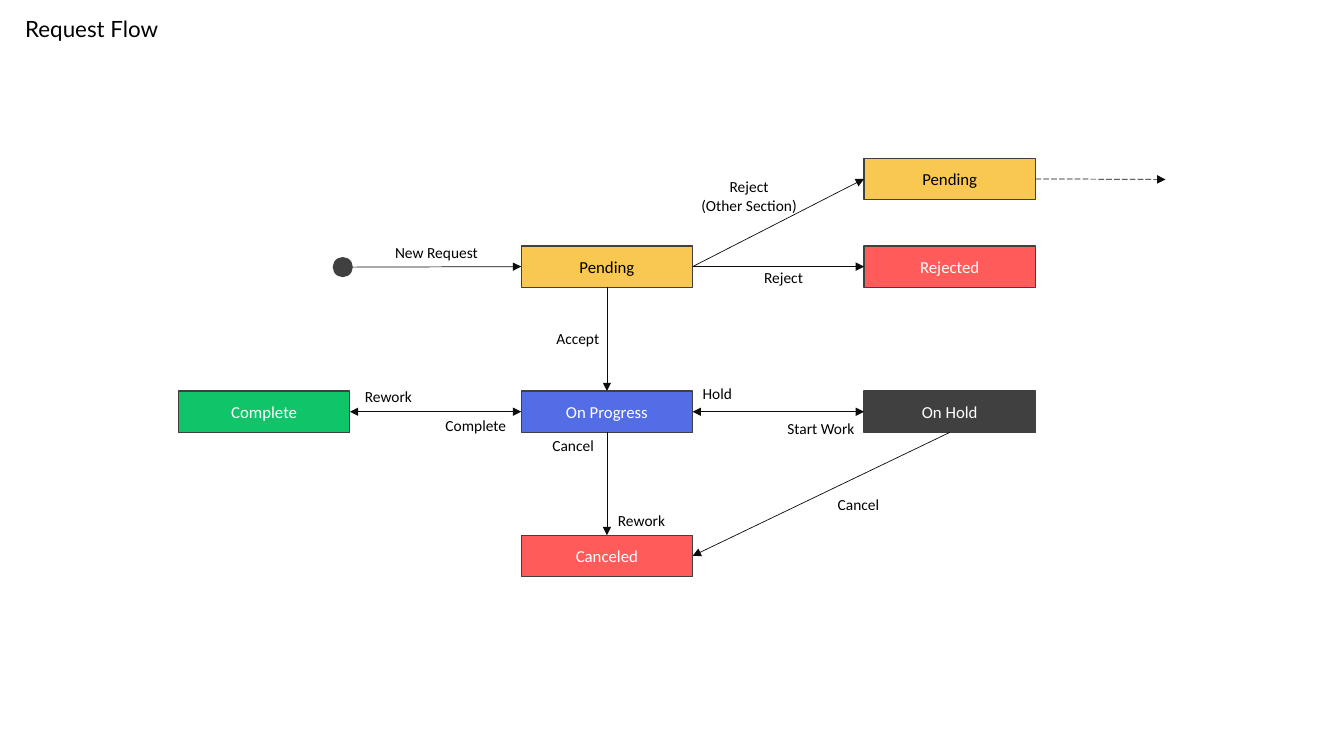
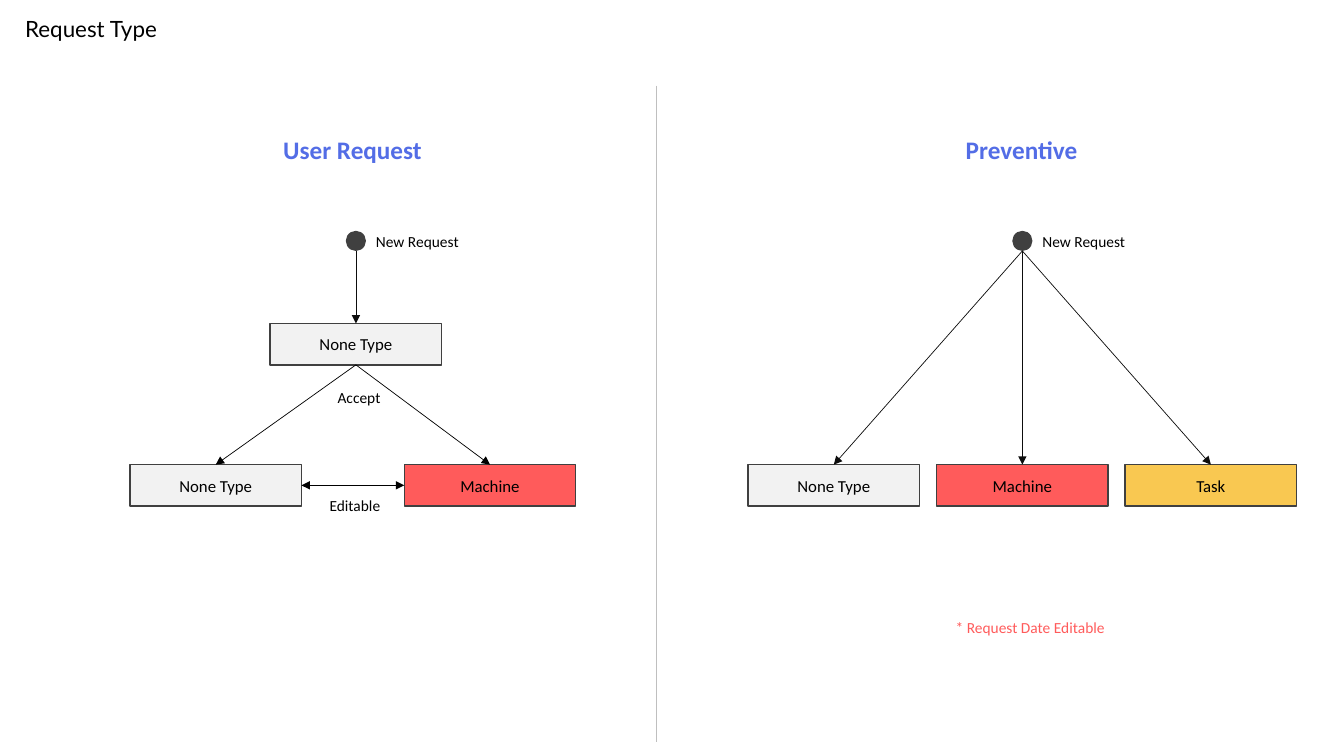
from lxml.etree import SubElement
from pptx import Presentation
from pptx.dml.color import RGBColor
from pptx.enum.dml import MSO_LINE
from pptx.enum.shapes import MSO_CONNECTOR, MSO_SHAPE
from pptx.enum.text import MSO_ANCHOR, MSO_AUTO_SIZE, PP_ALIGN
from pptx.oxml.ns import qn
from pptx.util import Emu, Pt

BLACK = RGBColor(0x00, 0x00, 0x00)
WHITE = RGBColor(0xFF, 0xFF, 0xFF)
INK = RGBColor(0x0D, 0x0D, 0x0D)
DARK = RGBColor(0x40, 0x40, 0x40)
RULE = RGBColor(0xBF, 0xBF, 0xBF)
PALE = RGBColor(0xF2, 0xF2, 0xF2)
YELLOW = RGBColor(0xF9, 0xC8, 0x51)
RED = RGBColor(0xFF, 0x5B, 0x5B)
BLUE = RGBColor(0x53, 0x6D, 0xE6)
GREEN = RGBColor(0x10, 0xC4, 0x69)

TOP, LEFT, BOTTOM, RIGHT = range(4)
NODE_W, NODE_H, DOT = 170, 41, 20


def px(n):
    """Turn px, 100 to the inch, into EMU."""
    return Emu(n * 9144)


def box(x, y, w, h):
    """Turn a px box into EMU lengths."""
    return px(x), px(y), px(w), px(h)


def write(tf, text, size=11, color=BLACK, font="Calibri", bold=False,
          align=PP_ALIGN.LEFT):
    """Fill a text frame, one paragraph for each line, and return the last."""
    for i, line in enumerate(text.split("\n")):
        p = tf.add_paragraph() if i else tf.paragraphs[0]
        p.alignment = align
        r = p.add_run()
        r.text = line
        r.font.name, r.font.size, r.font.bold = font, Pt(size), bold
        r.font.color.rgb = color
    return p


def add_slide(prs, title):
    """Add a slide with the shared title style."""
    s = prs.slides.add_slide(prs.slide_layouts[5])
    sp = s.shapes.title
    sp.left, sp.top, sp.width, sp.height = box(15, 13, 1318, 35)
    tf = sp.text_frame
    tf.auto_size = MSO_AUTO_SIZE.NONE
    tf.vertical_anchor = MSO_ANCHOR.MIDDLE
    p = write(tf, title, size=16, font="Lato")
    p.line_spacing = 0.9
    return s


def label(s, x, y, w, text, h=29, wrap=False, **fmt):
    """Add a text box."""
    tf = s.shapes.add_textbox(*box(x, y, w, h)).text_frame
    tf.word_wrap = wrap
    tf.auto_size = MSO_AUTO_SIZE.SHAPE_TO_FIT_TEXT
    write(tf, text, **fmt)


def node(s, x, y, text, fill, color=BLACK):
    """Add a state rectangle."""
    sp = s.shapes.add_shape(MSO_SHAPE.RECTANGLE, *box(x, y, NODE_W, NODE_H))
    sp.shadow.inherit = False
    sp.fill.solid()
    sp.fill.fore_color.rgb = fill
    sp.line.color.rgb = DARK
    sp.line.width = Pt(1)
    sp.text_frame.vertical_anchor = MSO_ANCHOR.MIDDLE
    write(sp.text_frame, text, size=12, color=color, align=PP_ALIGN.CENTER)
    return sp


def start_dot(s, x, y):
    """Add the round start mark."""
    sp = s.shapes.add_shape(MSO_SHAPE.OVAL, *box(x, y, DOT, DOT))
    sp.shadow.inherit = False
    sp.fill.solid()
    sp.fill.fore_color.rgb = DARK
    sp.line.fill.background()


def line(s, begin, end, arrows=("tailEnd",), color=INK, dash=None):
    """Draw a line between ends given as (x, y) or as (shape, side)."""
    c = s.shapes.add_connector(MSO_CONNECTOR.STRAIGHT, 0, 0, 0, 0)
    if isinstance(begin[0], int):
        c.begin_x, c.begin_y = map(px, begin)
    else:
        c.begin_connect(*begin)
    if isinstance(end[0], int):
        c.end_x, c.end_y = map(px, end)
    else:
        c.end_connect(*end)
    c.line.color.rgb = color
    c.line.width = Pt(0.5)
    if dash:
        c.line.dash_style = dash
    spPr = c._element.spPr
    for tag in arrows:
        SubElement(spPr.find(qn("a:ln")), qn("a:" + tag), type="triangle")
    SubElement(spPr, qn("a:effectLst"))


BOTH = ("headEnd", "tailEnd")


def request_flow(s, x, y, w, h):
    """Draw the states of a request and the moves between them."""
    mid, right = x + (w - NODE_W) // 2, x + w - NODE_W
    row, work, last = y + 87, y + 231, y + h - NODE_H
    pending = node(s, mid, row, "Pending", YELLOW)
    other = node(s, right, y, "Pending", YELLOW)
    rejected = node(s, right, row, "Rejected", RED, WHITE)
    complete = node(s, x, work, "Complete", GREEN, WHITE)
    progress = node(s, mid, work, "On Progress", BLUE, WHITE)
    hold = node(s, right, work, "On Hold", DARK, WHITE)
    canceled = node(s, mid, last, "Canceled", RED, WHITE)

    start_dot(s, x + 153, row + 11)
    line(s, (x + 153 + DOT, row + 21), (pending, LEFT))
    line(s, (other, RIGHT), (x + w + 129, y + 21), dash=MSO_LINE.LONG_DASH)
    for begin, end in (
            ((pending, RIGHT), (other, LEFT)),
            ((pending, RIGHT), (rejected, LEFT)),
            ((pending, BOTTOM), (progress, TOP)),
            ((progress, BOTTOM), (canceled, TOP)),
            ((hold, BOTTOM), (canceled, RIGHT))):
        line(s, begin, end)
    line(s, (complete, RIGHT), (progress, LEFT), BOTH)
    line(s, (progress, RIGHT), (hold, LEFT), BOTH)

    label(s, x + 481, y + 14, 170, "Reject\n(Other Section)", h=47, wrap=True,
          align=PP_ALIGN.CENTER)
    for dx, dy, lw, text in (
            (205, 79, 103, "New Request"), (571, 104, 59, "Reject"),
            (365, 165, 63, "Accept"), (510, 219, 49, "Hold"),
            (594, 254, 88, "Start Work"), (644, 329, 62, "Cancel"),
            (175, 222, 68, "Rework"), (255, 251, 81, "Complete"),
            (426, 345, 68, "Rework"), (361, 271, 62, "Cancel")):
        label(s, x + dx, y + dy, lw, text)


def new_request(s, cx, y):
    """Add a labelled start mark and return the point below it."""
    start_dot(s, cx - DOT // 2, y)
    label(s, cx + DOT // 2, y - 4, 103, "New Request")
    return cx, y + DOT


def user_request(s, x, y, w, h):
    """Draw the types a user request can take."""
    label(s, x + 142, y, 162, "User Request", size=18, color=BLUE, bold=True)
    start = new_request(s, x + 224, y + 101)
    first = node(s, x + 139, y + 193, "None Type", PALE)
    none = node(s, x, y + h - NODE_H, "None Type", PALE)
    machine = node(s, x + w - NODE_W, y + h - NODE_H, "Machine", RED)
    line(s, start, (first, TOP))
    for kind in (none, machine):
        line(s, (first, BOTTOM), (kind, TOP), color=BLACK)
    line(s, (none, RIGHT), (machine, LEFT), BOTH, color=BLACK)
    label(s, x + 196, y + 252, 63, "Accept")
    label(s, x + 188, y + 359, 71, "Editable")


def preventive(s, x, y, w, h):
    """Draw the types a preventive request can take."""
    label(s, x + 206, y, 132, "Preventive", size=18, color=BLUE, bold=True)
    start = new_request(s, x + w // 2, y + 101)
    pitch = (w - NODE_W) // 2
    kinds = (("None Type", PALE), ("Machine", RED), ("Task", YELLOW))
    for i, (text, fill) in enumerate(kinds):
        kind = node(s, x + i * pitch, y + h - NODE_H, text, fill)
        line(s, start, (kind, TOP))
    label(s, x + 196, y + 480, 170, "* Request Date Editable", color=RED)


def main():
    """Build and save the presentation."""
    prs = Presentation()
    prs.slide_width, prs.slide_height = px(1333), px(750)
    request_flow(add_slide(prs, "Request Flow"), 177, 157, 850, 415)
    s = add_slide(prs, "Request Type")
    line(s, (651, 85), (651, 736), arrows=(), color=RULE)
    user_request(s, 129, 128, 442, 374)
    preventive(s, 742, 128, 544, 374)
    prs.save("out.pptx")


if __name__ == "__main__":
    main()
